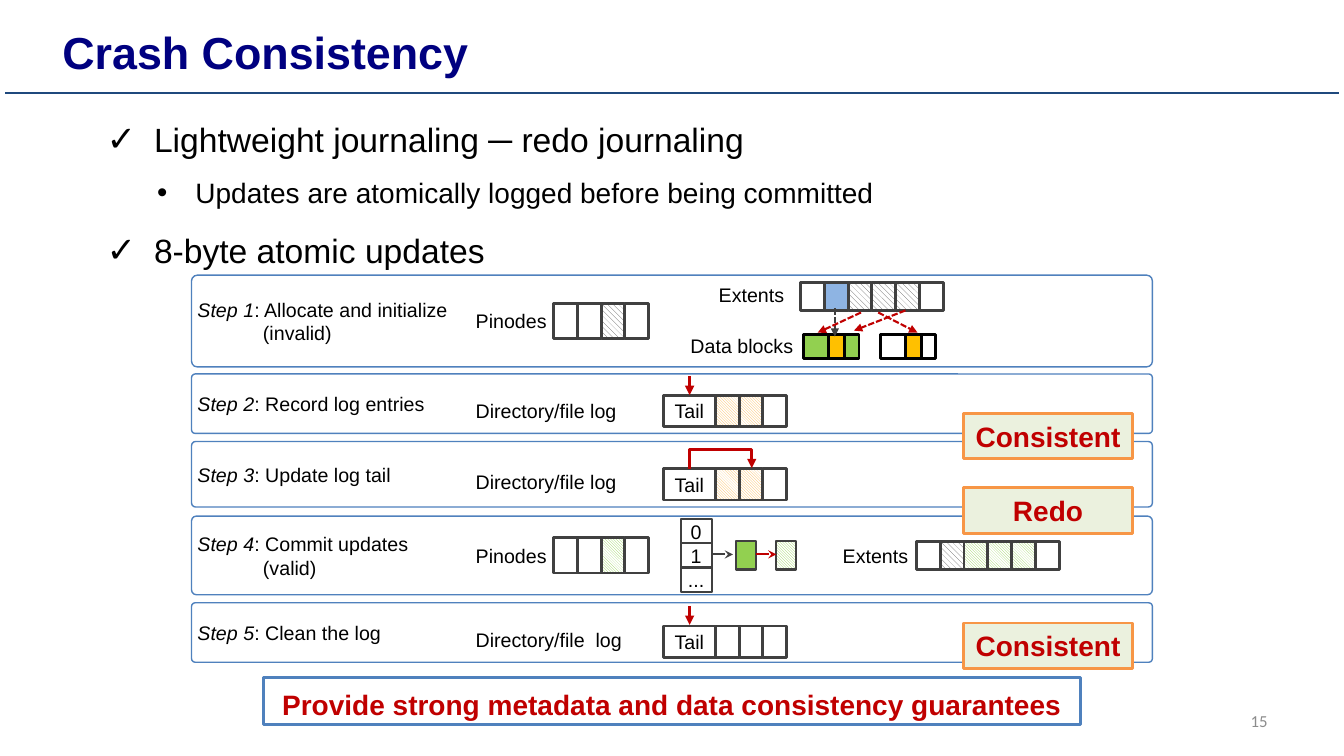
from lxml import etree
from pptx import Presentation
from pptx import util as u
from pptx.dml.color import RGBColor
from pptx.enum import dml, shapes, text
from pptx.oxml.ns import qn

COLORS = dict(black="000000", white="FFFFFF", navy="000080", rule="1F497D", blue="4F81BD",
              grey="404040", hatch="595959", number="8C8C8C", red="C00000", green="92D050",
              amber="FFC000", peach="FEB64D", sky="8EB4E3", mint="EBF1DE", orange="F79646")
WIDE = dml.MSO_PATTERN.WIDE_DOWNWARD_DIAGONAL
DARK = dml.MSO_PATTERN.DARK_DOWNWARD_DIAGONAL
FILLS = {".": "white", "s": "sky", "g": "green", "a": "amber", "h": (WIDE, "hatch"),
         "n": (DARK, "green"), "p": (DARK, "peach")}

BULLETS = [("✓", 0, 0.47, 24, "Lightweight journaling ─ redo journaling"),
           ("•", 1, 0.88, 20, "Updates are atomically logged before being committed"),
           ("✓", 0, 0.47, 24, "8-byte atomic updates")]
LOG = "Directory/file log"
STEPS = [
    (2.73, 0.91, ": Allocate and initialize", "(invalid)", "Pinodes", 0, "..h.", 0),
    (3.71, 0.59, ": Record log entries", None, LOG, 0.07, "Tpp.", 0.07),
    (4.38, 0.65, ": Update log tail", None, LOG, 0.07, "Tpp.", 0.1),
    (5.12, 0.78, ": Commit updates", "(valid)", "Pinodes", 0, "..n.", 0),
    (5.98, 0.59, ": Clean the log", None, "Directory/file  log", 0.07, "T...", 0.09),
]
PANEL_X, PANEL_W = 1.9, 9.53
LABEL_X, PINODE_X, LOG_X = 4.62, 5.49, 6.58
CELL, TAIL_W, LOG_H, PINODE_H, EXTENT_H = 0.236, 0.515, 0.31, 0.35, 0.28
EXTENTS = [(7.03, 2.92, 7.94, 2.94, ".shhh."), (8.26, 5.51, 9.09, 5.51, ".hnnn.")]
BLOCKS_Y, BLOCK_WIDTHS = 3.44, (0.25, 0.16, 0.14)
BLOCKS = [(7.97, "gag"), (8.73, ".a.")]
POINTERS = [(8.28, 3.06, 8.28, 3.34, "grey"), (8.54, 3.1, 8.11, 3.3, "red"),
            (8.71, 3.1, 9.1, 3.3, "red"), (8.98, 3.08, 8.47, 3.28, "red")]
INDEX_X, INDEX_Y, INDEX_W, INDEX_H = 6.75, 5.15, 0.31, 0.24
INDEX = ["0", "1", "..."]
NODES = [(7.3, "g"), (7.7, "n")]
LINKS = [(7.07, 7.27, "grey"), (7.5, 7.7, "red")]
TAIL_X = 6.84
TAIL_ARROWS = [3.73, 6.01]
BADGES = [(4.1, "Consistent"), (4.84, "Redo"), (6.18, "Consistent")]

prs = Presentation()
prs.slide_width, prs.slide_height = u.Inches(13.33), u.Inches(7.5)
s = prs.slides.add_slide(prs.slide_layouts[6])


def rgb(name):
    return RGBColor.from_string(COLORS[name])


def inches(*values):
    return [u.Inches(v) for v in values]


def add_run(p, words, size, color="black", bold=False, italic=False, face="Arial"):
    r = p.add_run()
    r.text = words
    r.font.name, r.font.size, r.font.color.rgb = face, u.Pt(size), rgb(color)
    r.font.bold, r.font.italic = bold, italic


def text_box(x, y, w, h, anchor=text.MSO_ANCHOR.TOP):
    tf = s.shapes.add_textbox(*inches(x, y, w, h)).text_frame
    tf.word_wrap = True
    tf.vertical_anchor = anchor
    return tf


def label(x, middle, words, width=2):
    tf = text_box(x, middle - 0.17, width, 0.34, text.MSO_ANCHOR.MIDDLE)
    add_run(tf.paragraphs[0], words, 14)


def box(x, y, w, h, fill, line, width, kind=shapes.MSO_SHAPE.RECTANGLE):
    sp = s.shapes.add_shape(kind, *inches(x, y, w, h))
    sp.shadow.inherit = False
    if isinstance(fill, tuple):
        sp.fill.patterned()
        sp.fill.pattern = fill[0]
        sp.fill.fore_color.rgb, sp.fill.back_color.rgb = rgb(fill[1]), rgb("white")
    else:
        sp.fill.solid()
        sp.fill.fore_color.rgb = rgb(fill)
    sp.line.color.rgb, sp.line.width = rgb(line), u.Pt(width)
    return sp


def caption(sp, words, size, color="black", bold=False):
    tf = sp.text_frame
    tf.word_wrap = False
    tf.margin_left = tf.margin_right = tf.margin_top = tf.margin_bottom = 0
    tf.vertical_anchor = text.MSO_ANCHOR.MIDDLE
    p = tf.paragraphs[0]
    p.alignment = text.PP_ALIGN.CENTER
    add_run(p, words, size, color, bold)
    return p


def strip(x, middle, height, codes, widths=None, line="grey"):
    for i, code in enumerate(codes):
        w = widths[i] if widths else TAIL_W if code == "T" else CELL
        sp = box(x, middle - height / 2, w, height, FILLS.get(code, "white"), line, 2)
        if code == "T":
            caption(sp, "Tail", 14)
        x += w


def connect(x1, y1, x2, y2, color, width, head=None, dash=False, elbow=False):
    kind = shapes.MSO_CONNECTOR.ELBOW if elbow else shapes.MSO_CONNECTOR.STRAIGHT
    c = s.shapes.add_connector(kind, *inches(x1, y1, x2, y2))
    c.line.color.rgb, c.line.width = rgb(color), u.Pt(width)
    if dash:
        c.line.dash_style = dml.MSO_LINE.SQUARE_DOT
    spPr = c._element.spPr
    if head:
        etree.SubElement(spPr.find(qn("a:ln")), qn("a:tailEnd"), type=head)
    etree.SubElement(spPr, qn("a:effectLst"))
    return spPr


def bullet_list():
    tf = text_box(0.96, 0.93, 8.54, 1.82)
    for i, (mark, level, margin, size, words) in enumerate(BULLETS):
        p = tf.add_paragraph() if i else tf.paragraphs[0]
        p.level, p.line_spacing = level, 1.5
        pPr = p._p.get_or_add_pPr()
        pPr.set("marL", str(u.Inches(margin)))
        pPr.set("indent", str(-u.Inches(0.38 if level else margin)))
        etree.SubElement(pPr, qn("a:buSzPct"), val="105000")
        etree.SubElement(pPr, qn("a:buFont"), typeface="Arial")
        etree.SubElement(pPr, qn("a:buChar"), char=mark)
        add_run(p, words, size)


def step_panel(number, top, height, words, state, name, name_dy, codes, strip_dy):
    panel = box(PANEL_X, top, PANEL_W, height, "white", "blue", 1,
                shapes.MSO_SHAPE.ROUNDED_RECTANGLE)
    panel.adjustments[0] = 0.062
    middle = top + height / 2
    tf = text_box(1.86, middle - 0.29, 2.72, 0.58, text.MSO_ANCHOR.MIDDLE)
    p = tf.paragraphs[0]
    add_run(p, f"Step {number}", 14, italic=True)
    add_run(p, words, 14)
    if state:
        p = tf.add_paragraph()
        p._p.get_or_add_pPr().set("marL", str(u.Inches(0.65)))
        add_run(p, state, 14)
    label(LABEL_X, middle + name_dy, name)
    is_log = codes.startswith("T")
    strip(LOG_X if is_log else PINODE_X, middle + strip_dy,
          LOG_H if is_log else PINODE_H, codes)


add_run(text_box(0.52, 0.2, 7.8, 0.64).paragraphs[0], "Crash Consistency", 32, "navy", True)
connect(0.05, 0.92, 13.28, 0.92, "rule", 1.5)
bullet_list()
for number, step in enumerate(STEPS, 1):
    step_panel(number, *step)

label(6.75, 3.43, "Data blocks", 1.31)
for name_x, name_y, x, y, codes in EXTENTS:
    label(name_x, name_y, "Extents", 1.1)
    strip(x, y, EXTENT_H, codes)
for x, codes in BLOCKS:
    strip(x, BLOCKS_Y, 0.24, codes, BLOCK_WIDTHS, "black")
for x1, y1, x2, y2, color in POINTERS:
    connect(x1, y1, x2, y2, color, 1.5, "triangle", dash=True)

for i, words in enumerate(INDEX):
    caption(box(INDEX_X, INDEX_Y + i * INDEX_H, INDEX_W, INDEX_H, "white", "grey", 1.5), words, 14)
for x, code in NODES:
    box(x, 5.37, 0.2, EXTENT_H, FILLS[code], "grey", 1.5)
for x1, x2, color in LINKS:
    connect(x1, 5.5, x2, 5.5, color, 1.5, "stealth")

for y in TAIL_ARROWS:
    connect(TAIL_X, y, TAIL_X, y + 0.19, "red", 2.25, "triangle")
spPr = connect(7.15, 4.96, 7.14, 4.34, "red", 2.25, "triangle", elbow=True)
spPr.find(qn("a:xfrm")).set("rot", "5400000")
guides = spPr.find(qn("a:prstGeom")).find(qn("a:avLst"))
etree.SubElement(guides, qn("a:gd"), name="adj1", fmla="val 2000000")

summary = box(2.61, 6.72, 8.11, 0.47, "white", "blue", 2)
p = caption(summary, "Provide strong metadata and data consistency guarantees", 20, "red", True)
p.line_spacing = 1.2
for y, words in BADGES:
    caption(box(9.56, y, 1.67, 0.45, "mint", "orange", 2), words, 20, "red", True)

p = text_box(9.56, 6.95, 3.11, 0.4, text.MSO_ANCHOR.MIDDLE).paragraphs[0]
p.alignment = text.PP_ALIGN.RIGHT
add_run(p, "15", 12, "number", face="Calibri")
prs.save("out.pptx")
